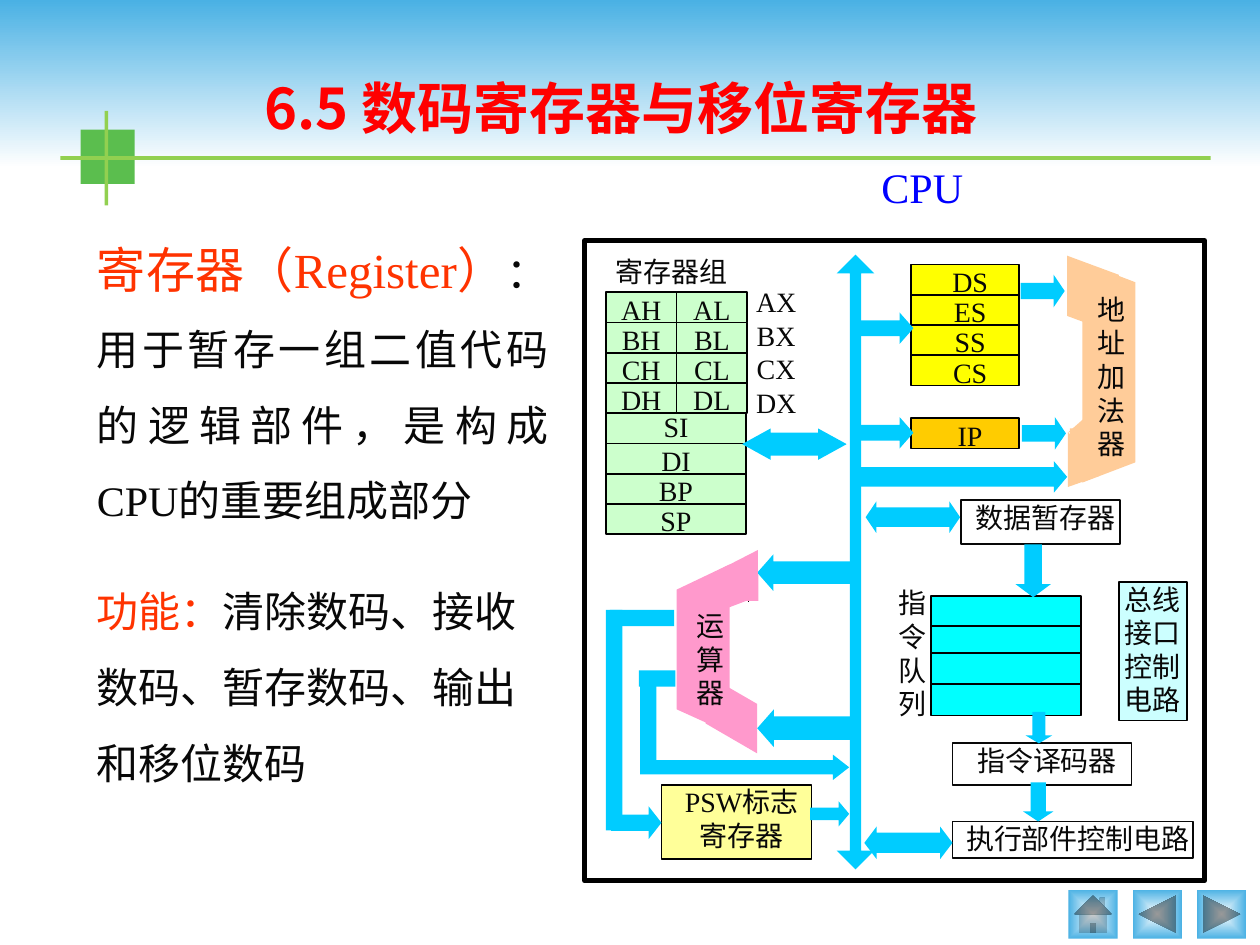
from lxml import etree
from pptx import Presentation
from pptx.dml.color import RGBColor as Rgb
from pptx.enum.shapes import MSO_CONNECTOR as Wire, MSO_SHAPE as Kind
from pptx.enum.text import MSO_ANCHOR as Anchor, PP_ALIGN as Align
from pptx.oxml.ns import qn
from pptx.util import Inches, Pt

theme = {
    "sky": "4AB1E4", "leaf": "5BBE4E", "lime": "92D050", "white": "FFFFFF",
    "black": "000000", "ink": "080808", "red": "FF0000", "blue": "0000FF",
    "flame": "FF3300", "bus": "00CCFF", "yellow": "FFFF00", "gold": "FFCC00",
    "mint": "CCFFCC", "aqua": "00FFFF", "ice": "CCFFFF", "cream": "FFFF99",
    "pink": "FF99CC", "peach": "FFCC99",
    "small": 16, "body": 24, "large": 28, "title": 32,
    "serif": "Times New Roman", "sans": "Arial", "head": "Noto Sans CJK SC",
}

deck = Presentation()
deck.slide_width, deck.slide_height = Inches(10), Inches(7.5)
unit = deck.slide_width // 1000
slide = deck.slides.add_slide(deck.slide_layouts[6])
pool = slide.shapes


def draw(kind, box, fill=None, line=None, adj=(), turn=0, width=1):
    if kind is None:
        form = pool.add_textbox(*[n * unit for n in box])
    elif kind == "free":
        pen = pool.build_freeform(*box[0], scale=unit)
        pen.add_line_segments(box[1:], close=True)
        form = pen.convert_to_shape()
    else:
        form = pool.add_shape(kind, *[n * unit for n in box])
    for i, share in enumerate(adj):
        form.adjustments[i] = share
    form.rotation = turn
    if kind is None:
        return form
    form.shadow.inherit = False
    if isinstance(fill, tuple):
        form.fill.gradient()
        for stop, tone in zip(form.fill.gradient_stops, fill):
            stop.color.rgb = Rgb.from_string(theme[tone])
    elif fill:
        form.fill.solid()
        form.fill.fore_color.rgb = Rgb.from_string(theme[fill])
    else:
        form.fill.background()
    if line:
        form.line.color.rgb = Rgb.from_string(theme[line])
        form.line.width = Pt(width)
    else:
        form.line.fill.background()
    return form


def write(form, paras, left=0, pad=(0, 0, 0), align=Align.CENTER, gap=None,
          anchor=Anchor.TOP, bold=False):
    frame = form.text_frame
    style = {"word_wrap": True, "vertical_anchor": anchor, "margin_left": left * unit,
             "margin_top": pad[0] * unit, "margin_right": pad[1] * unit,
             "margin_bottom": pad[2] * unit}
    for key, val in style.items():
        setattr(frame, key, val)
    if isinstance(paras, str):
        paras = [[(row, "small", "ink", "serif")] for row in paras.split("\n")]
    for i, runs in enumerate(paras):
        para = frame.add_paragraph() if i else frame.paragraphs[0]
        para.alignment, para.line_spacing = align, gap
        for text, size, tone, face in runs:
            run = para.add_run()
            run.text = text
            look = {"size": Pt(theme[size]), "bold": bold, "name": theme[face]}
            for key, val in look.items():
                setattr(run.font, key, val)
            run.font.color.rgb = Rgb.from_string(theme[tone])
            if face == "head":
                mark = etree.SubElement(run.font._element, qn("a:ea"))
                mark.set("typeface", theme[face])


band = draw(Kind.RECTANGLE, (0, 0, 1000, 133), ("sky", "white"))
band.fill.gradient_angle = 270
for box, tone in (((64, 103, 43, 43), "leaf"), ((83, 88, 3, 75), "lime"),
                  ((48, 124, 913, 3), "lime")):
    draw(Kind.RECTANGLE, box, tone)

inset = {"left": 10, "pad": (5, 10, 5)}
write(draw(None, (127, 53, 732, 64)),
      [[("6.5 数码寄存器与移位寄存器", "title", "red", "head")]],
      anchor=Anchor.MIDDLE, bold=True, **inset)

keys = (Kind.ACTION_BUTTON_HOME, Kind.ACTION_BUTTON_BACK_OR_PREVIOUS,
        Kind.ACTION_BUTTON_FORWARD_OR_NEXT)
for i, kind in enumerate(keys):
    key = draw(kind, (848 + 51 * i, 706, 39, 39), ("white", "sky"))
    grad = key._element.spPr.find(qn("a:gradFill"))
    grad.remove(grad.find(qn("a:lin")))
    way = etree.SubElement(grad, qn("a:path"), path="rect")
    etree.SubElement(way, qn("a:fillToRect"), l="50000", t="50000", r="50000", b="50000")

draw(Kind.RECTANGLE, (464, 191, 492, 508), "white", "black", width=3)
for i, name in enumerate(("DS", "ES", "SS", "CS")):
    write(draw(Kind.RECTANGLE, (723, 210 + 24 * i, 86, 24), "yellow", "black"), name, 8)
for y in (473, 497, 518, 543):
    draw(Kind.RECTANGLE, (739, y, 119, 25), "aqua", "black")

cells = (
    ((723, 332, 86, 24), "gold", "black", "IP", 8),
    ((763, 397, 126, 35), None, "ink", "数据暂存器", 8),
    ((525, 623, 119, 59), "cream", "black", "PSW标志\n寄存器", 8),
    ((756, 652, 191, 29), None, "ink", "执行部件控制电路", 8),
    ((756, 590, 142, 33), None, "ink", "指令译码器", 8),
    ((888, 462, 54, 110), "ice", "black", "总线\n接口控制电路", 0),
)
for box, fill, line, text, left in cells:
    write(draw(Kind.RECTANGLE, box, fill, line), text, left)

for i, name in enumerate("ABCD"):
    for j, half in enumerate("HL"):
        write(draw(Kind.RECTANGLE, (481 + 56 * j, 232 + 24 * i, 56, 24), "mint", "black"),
              name + half)
for i, name in enumerate(("SI", "DI", "BP", "SP")):
    write(draw(Kind.RECTANGLE, (481, 328 + 24 * i, 111, 24), "mint", "black"), name,
          gap=None if i else 0.9)

arrows = (
    (Kind.UP_DOWN_ARROW, (664, 202, 30, 488), (0.53, 0.3)),
    (Kind.RIGHT_ARROW, (810, 218, 35, 26), (0.5, 0.34)),
    (Kind.RIGHT_ARROW, (811, 331, 35, 26), (0.5, 0.34)),
    (Kind.RIGHT_ARROW, (681, 248, 44, 25), (0.5, 0.44)),
    (Kind.RIGHT_ARROW, (681, 331, 44, 25), (0.5, 0.44)),
    (Kind.RIGHT_ARROW, (681, 366, 166, 25), (0.62, 0.42)),
    (Kind.LEFT_ARROW, (601, 440, 78, 29), (0.62, 0.44)),
    (Kind.LEFT_ARROW, (601, 563, 78, 30), (0.62, 0.44)),
    (Kind.LEFT_RIGHT_ARROW, (687, 398, 75, 25), (0.62, 0.34)),
    (Kind.LEFT_RIGHT_ARROW, (686, 656, 70, 26), (0.62, 0.38)),
    (Kind.LEFT_RIGHT_ARROW, (589, 340, 83, 25), (0.73, 0.91)),
    (Kind.DOWN_ARROW, (806, 432, 28, 42), (0.5, 0.37)),
    (Kind.DOWN_ARROW, (814, 565, 21, 25), (0.5, 0.3)),
    (Kind.DOWN_ARROW, (812, 621, 24, 31), (0.5, 0.33)),
    (Kind.RIGHT_ARROW, (508, 599, 166, 20), (0.56, 0.64)),
    (Kind.RIGHT_ARROW, (485, 640, 40, 26), (0.5, 0.39)),
    (Kind.RIGHT_ARROW, (643, 636, 31, 20), (0.5, 0.42)),
    (Kind.RECTANGLE, (481, 484, 13, 175), ()),
    (Kind.RECTANGLE, (484, 484, 51, 13), ()),
    (Kind.RECTANGLE, (507, 532, 29, 13), ()),
    (Kind.RECTANGLE, (508, 533, 13, 81), ()),
)
for kind, box, adj in arrows:
    draw(kind, box, "bus", adj=adj)

tick = pool.add_connector(Wire.STRAIGHT, *[n * unit for n in (594, 447, 594, 478)])
tick.line.color.rgb, tick.line.width = Rgb.from_string(theme["black"]), Pt(1)
etree.SubElement(tick._element.spPr, qn("a:effectLst"))

blocks = (
    ("free", ((579, 448), (537, 468), (537, 563), (579, 582)), "pink", (), 0),
    (Kind.PARALLELOGRAM, (549, 546, 63, 41), "pink", (0.58,), 90),
    (Kind.RIGHT_TRIANGLE, (572, 427, 20, 39), "pink", (), 270),
    (Kind.RECTANGLE, (567, 456, 35, 21), "pink", (), 0),
    (Kind.RIGHT_TRIANGLE, (584, 468, 8, 21), "pink", (), 90),
    ("free", ((859, 383), (901, 367), (901, 224), (859, 208)), "peach", (), 0),
    (Kind.PARALLELOGRAM, (836, 214, 63, 41), "peach", (0.37,), 90),
    (Kind.RECTANGLE, (849, 340, 11, 41), "peach", (), 0),
    (Kind.RIGHT_TRIANGLE, (849, 327, 15, 17), "peach", (), 270),
    (Kind.ISOSCELES_TRIANGLE, (838, 352, 44, 25), "peach", (0.8,), 90),
)
for kind, box, tone, adj, turn in blocks:
    draw(kind, box, tone, adj=adj, turn=turn)

labels = (
    ((594, 226, 44, 101), "AX\nBX\nCX\nDX", 0),
    ((481, 202, 104, 29), "寄存器组", 0),
    ((712, 465, 25, 108), "指\n令\n队\n列", 0),
    ((546, 483, 35, 95), "运\n算\n器", 0),
    ((860, 232, 37, 131), "地址加法器", 8),
)
for box, text, left in labels:
    write(draw(None, box), text, left)

write(draw(None, (602, 123, 260, 50)), [[("CPU", "body", "blue", "serif")]], **inset)
write(draw(None, (67, 162, 378, 262)),
      [[("寄存器（Register）", "large", "flame", "serif"),
        ("：用于暂存一组二值代码的逻辑部件，是构成CPU的重要组成部分", "body", "ink", "serif")]],
      align=Align.JUSTIFY, gap=1.5, **inset)
write(draw(None, (67, 440, 378, 192)),
      [[("功能：", "body", "flame", "sans"),
        ("清除数码、接收数码、暂存数码、输出和移位数码", "body", "ink", "sans")]],
      align=Align.LEFT, gap=1.5, **inset)

deck.save("out.pptx")
